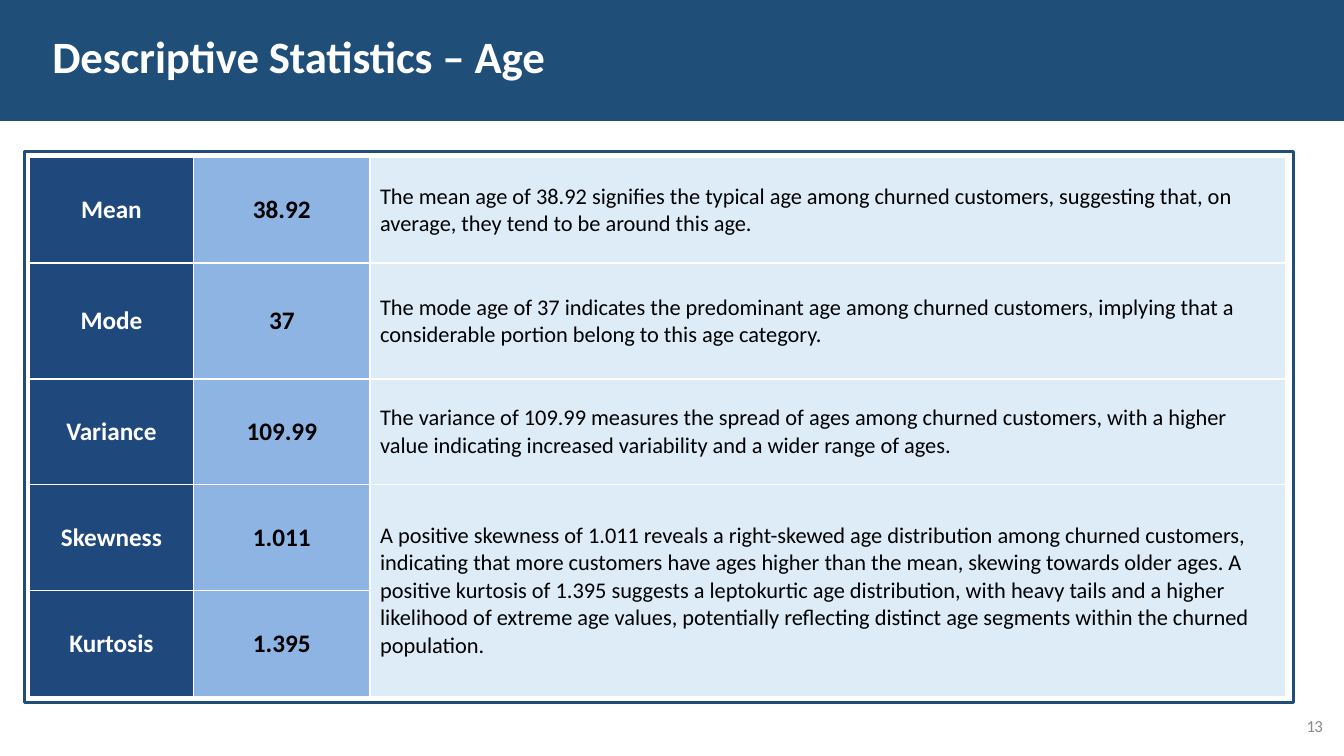
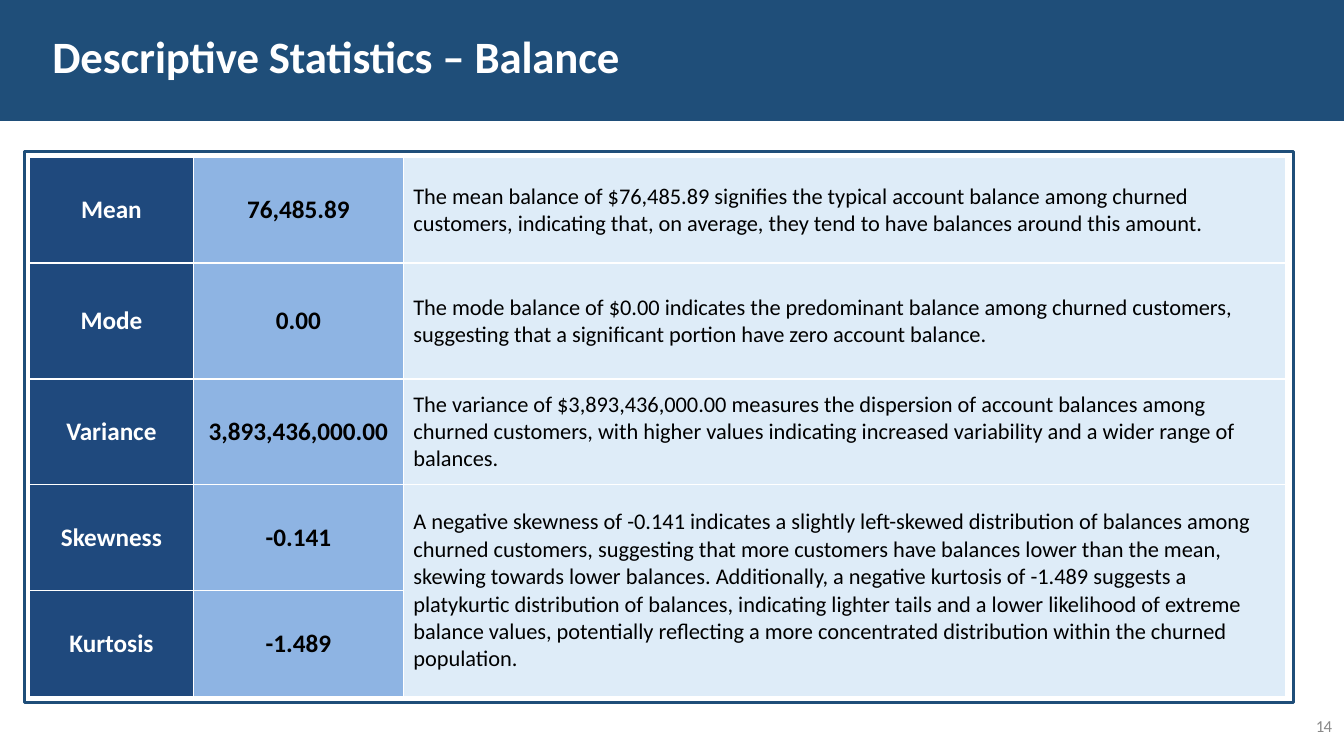
from lxml import etree
from pptx import Presentation
from pptx.dml.color import RGBColor
from pptx.enum import shapes, text
from pptx.oxml import ns
from pptx.util import Inches, Pt

FONT = "Calibri"
BAND = RGBColor(0x1F, 0x4E, 0x79)
MEASURE = RGBColor(0x1F, 0x49, 0x7D)
VALUE = RGBColor(0x8E, 0xB4, 0xE3)
MEANING = RGBColor(0xDE, 0xEC, 0xF8)
WHITE = RGBColor(0xFF, 0xFF, 0xFF)
BLACK = RGBColor(0x00, 0x00, 0x00)
GREY = RGBColor(0x89, 0x89, 0x89)

WIDTH, HEIGHT = 13.33, 7.5
BAND_BOX = (0, 0, WIDTH, 1.2)
FRAME_BOX = (0.24, 1.5, 12.59, 5.47)
MEASURE_WIDTH, TABLE_WIDTH = 1.63, 12.46
ROW_HEIGHTS = (1.05, 1.15, 1.05, 1.05, 1.05)
MEASURES = ("Mean", "Mode", "Variance", "Skewness", "Kurtosis")

SLIDES = [
    {
        "title": "Descriptive Statistics – Age",
        "number": "13",
        "number_left": 12.96,
        "value_width": 1.75,
        "values": ("38.92", "37", "109.99", "1.011", "1.395"),
        "meanings": (
            "The mean age of 38.92 signifies the typical age among churned customers, "
            "suggesting that, on average, they tend to be around this age.",
            "The mode age of 37 indicates the predominant age among churned customers, "
            "implying that a considerable portion belong to this age category.",
            "The variance of 109.99 measures the spread of ages among churned customers, "
            "with a higher value indicating increased variability and a wider range of ages.",
            "A positive skewness of 1.011 reveals a right-skewed age distribution among "
            "churned customers, indicating that more customers have ages higher than the "
            "mean, skewing towards older ages. A positive kurtosis of 1.395 suggests a "
            "leptokurtic age distribution, with heavy tails and a higher likelihood of "
            "extreme age values, potentially reflecting distinct age segments within the "
            "churned population.",
        ),
    },
    {
        "title": "Descriptive Statistics – Balance",
        "number": "14",
        "number_left": 13.05,
        "value_width": 2.08,
        "values": ("76,485.89", "0.00", "3,893,436,000.00", "-0.141", "-1.489"),
        "meanings": (
            "The mean balance of $76,485.89 signifies the typical account balance among "
            "churned customers, indicating that, on average, they tend to have balances "
            "around this amount.",
            "The mode balance of $0.00 indicates the predominant balance among churned "
            "customers, suggesting that a significant portion have zero account balance.",
            "The variance of $3,893,436,000.00 measures the dispersion of account balances "
            "among churned customers, with higher values indicating increased variability "
            "and a wider range of balances.",
            "A negative skewness of -0.141 indicates a slightly left-skewed distribution of "
            "balances among churned customers, suggesting that more customers have balances "
            "lower than the mean, skewing towards lower balances. Additionally, a negative "
            "kurtosis of -1.489 suggests a platykurtic distribution of balances, indicating "
            "lighter tails and a lower likelihood of extreme balance values, potentially "
            "reflecting a more concentrated distribution within the churned population.",
        ),
    },
]


def inches(box):
    return [Inches(length) for length in box]


def add_run(paragraph, words, size, color, bold=False, spacing=None):
    run = paragraph.add_run()
    run.text = words
    run.font.name = FONT
    run.font.size = Pt(size)
    run.font.bold = bold
    run.font.color.rgb = color
    if spacing is not None:
        run.font._element.set("spc", str(spacing))


def add_rectangle(slide, box):
    rectangle = slide.shapes.add_shape(shapes.MSO_SHAPE.RECTANGLE, *inches(box))
    rectangle.shadow.inherit = False
    return rectangle


def add_label(slide, box, words, **style):
    frame = slide.shapes.add_textbox(*inches(box)).text_frame
    frame.word_wrap = True
    frame.margin_left = frame.margin_right = frame.margin_bottom = 0
    frame.margin_top = Inches(0.02)
    add_run(frame.paragraphs[0], words, **style)


def add_title_band(slide, box, title):
    left, top, width, height = box
    band = add_rectangle(slide, box)
    band.fill.solid()
    band.fill.fore_color.rgb = BAND
    band.line.fill.background()
    add_label(slide, (left + 0.52, top + 0.26, width * 0.76, height * 0.47), title,
              size=32, color=WHITE, bold=True, spacing=-10)


def add_borders(cell):
    properties = cell._tc.get_or_add_tcPr()
    for side in ("a:lnL", "a:lnR", "a:lnT", "a:lnB"):
        border = etree.SubElement(properties, ns.qn(side), w=str(Pt(1)))
        fill = etree.SubElement(border, ns.qn("a:solidFill"))
        etree.SubElement(fill, ns.qn("a:srgbClr"), val=str(WHITE))


def fill_cell(cell, words, fill, color, size=18, bold=True, align=text.PP_ALIGN.CENTER):
    add_borders(cell)
    cell.fill.solid()
    cell.fill.fore_color.rgb = fill
    cell.vertical_anchor = text.MSO_ANCHOR.MIDDLE
    if words:
        paragraph = cell.text_frame.paragraphs[0]
        paragraph.alignment = align
        add_run(paragraph, words, size, color, bold)


def add_statistics(slide, box, value_width, values, meanings):
    left, top, _, _ = box
    outline = add_rectangle(slide, box)
    outline.fill.background()
    outline.line.color.rgb = BAND
    outline.line.width = Pt(2.25)

    table_box = (left + 0.05, top + 0.06, TABLE_WIDTH, sum(ROW_HEIGHTS))
    table = slide.shapes.add_table(len(MEASURES), 3, *inches(table_box)).table
    table.first_row = table.horz_banding = False
    widths = (MEASURE_WIDTH, value_width, TABLE_WIDTH - MEASURE_WIDTH - value_width)
    for column, width in zip(table.columns, widths):
        column.width = Inches(width)
    for row, height in zip(table.rows, ROW_HEIGHTS):
        row.height = Inches(height)

    last = len(MEASURES) - 1
    table.cell(last - 1, 2).merge(table.cell(last, 2))
    for index, (measure, value) in enumerate(zip(MEASURES, values)):
        meaning = meanings[index] if index < last else ""
        fill_cell(table.cell(index, 0), measure, MEASURE, WHITE)
        fill_cell(table.cell(index, 1), value, VALUE, BLACK)
        fill_cell(table.cell(index, 2), meaning, MEANING, BLACK,
                  size=16, bold=False, align=text.PP_ALIGN.LEFT)


def add_statistics_slide(deck, content):
    slide = deck.slides.add_slide(deck.slide_layouts[6])
    add_title_band(slide, BAND_BOX, content["title"])
    add_label(slide, (content["number_left"], 7.08, 0.25, 0.21), content["number"],
              size=12, color=GREY, spacing=-50)
    add_statistics(slide, FRAME_BOX, content["value_width"],
                   content["values"], content["meanings"])


def main():
    deck = Presentation()
    deck.slide_width, deck.slide_height = Inches(WIDTH), Inches(HEIGHT)
    for content in SLIDES:
        add_statistics_slide(deck, content)
    deck.save("out.pptx")


if __name__ == "__main__":
    main()
